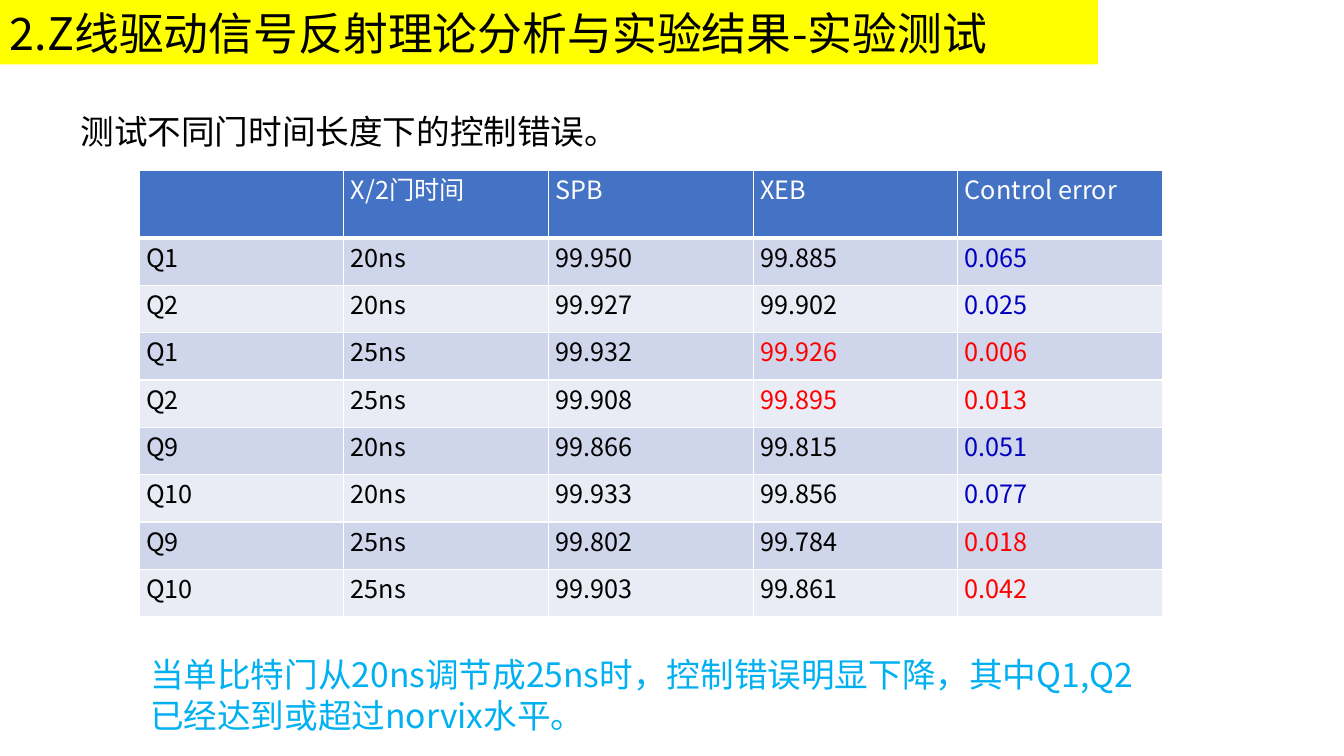
from dataclasses import dataclass

from lxml.etree import SubElement
from pptx import Presentation
from pptx.dml.color import RGBColor
from pptx.enum.shapes import MSO_SHAPE
from pptx.enum.text import MSO_ANCHOR, PP_ALIGN
from pptx.oxml.ns import qn
from pptx.slide import Slide
from pptx.table import _Cell
from pptx.text.text import TextFrame
from pptx.util import Inches, Pt

FONT = "Noto Sans CJK SC"
BLACK = RGBColor(0x00, 0x00, 0x00)
WHITE = RGBColor(0xFF, 0xFF, 0xFF)
YELLOW = RGBColor(0xFF, 0xFF, 0x00)
RED = RGBColor(0xFF, 0x00, 0x00)
NAVY = RGBColor(0x00, 0x00, 0xBF)
SKY = RGBColor(0x00, 0xB0, 0xF0)
HEADER_BLUE = RGBColor(0x44, 0x72, 0xC4)
BANDS = (RGBColor(0xCF, 0xD5, 0xEA), RGBColor(0xE9, 0xEB, 0xF5))

HEADINGS = ("", "X/2门时间", "SPB", "XEB", "Control error")
COL_WIDTH, HEADER_HEIGHT, ROW_HEIGHT = 2.03, 0.67, 0.47


@dataclass(frozen=True)
class Measurement:
    qubit: str
    gate_time: str
    spb: str
    xeb: str
    error: str
    xeb_color: RGBColor = BLACK

    def cells(self) -> list[tuple[str, RGBColor]]:
        error_color = NAVY if self.gate_time == "20ns" else RED
        return [(self.qubit, BLACK), (self.gate_time, BLACK), (self.spb, BLACK),
                (self.xeb, self.xeb_color), (self.error, error_color)]


@dataclass(frozen=True)
class Caption:
    left: float
    top: float
    width: float
    height: float
    text: str
    color: RGBColor


MEASUREMENTS = (
    Measurement("Q1", "20ns", "99.950", "99.885", "0.065"),
    Measurement("Q2", "20ns", "99.927", "99.902", "0.025"),
    Measurement("Q1", "25ns", "99.932", "99.926", "0.006", RED),
    Measurement("Q2", "25ns", "99.908", "99.895", "0.013", RED),
    Measurement("Q9", "20ns", "99.866", "99.815", "0.051"),
    Measurement("Q10", "20ns", "99.933", "99.856", "0.077"),
    Measurement("Q9", "25ns", "99.802", "99.784", "0.018"),
    Measurement("Q10", "25ns", "99.903", "99.861", "0.042"),
)
CAPTIONS = (
    Caption(0.7, 1.05, 10.6, 0.5, "测试不同门时间长度下的控制错误。", BLACK),
    Caption(1.39, 6.44, 10.08, 0.91,
            "当单比特门从20ns调节成25ns时，控制错误明显下降，其中Q1,Q2已经达到或超过norvix水平。", SKY),
)


def write(tf: TextFrame, text: str, size: float, color: RGBColor) -> None:
    p = tf.paragraphs[0]
    p.alignment = PP_ALIGN.LEFT
    r = p.add_run()
    r.text = text
    r.font.size = Pt(size)
    r.font.color.rgb = color
    r.font.name = FONT
    SubElement(r.font._element, qn("a:ea"), typeface=FONT)


def add_title(s: Slide) -> None:
    sp = s.shapes.add_shape(MSO_SHAPE.RECTANGLE, 0, 0, Inches(10.89), Inches(0.64))
    sp.shadow.inherit = False
    sp.fill.solid()
    sp.fill.fore_color.rgb = YELLOW
    sp.line.fill.background()
    write(sp.text_frame, "2.Z线驱动信号反射理论分析与实验结果-实验测试", 32, BLACK)


def add_caption(s: Slide, c: Caption) -> None:
    sp = s.shapes.add_textbox(*map(Inches, (c.left, c.top, c.width, c.height)))
    tf = sp.text_frame
    tf.word_wrap = True
    tf.vertical_anchor = MSO_ANCHOR.TOP
    write(tf, c.text, 24, c.color)


def set_borders(cell: _Cell, top: float, bottom: float) -> None:
    """Put white borders around a cell; widths are in points."""
    tc_pr = cell._tc.get_or_add_tcPr()
    for i, (side, width) in enumerate((("L", 1), ("R", 1), ("T", top), ("B", bottom))):
        ln = SubElement(tc_pr, qn(f"a:ln{side}"), w=str(Pt(width)))
        fill = SubElement(ln, qn("a:solidFill"))
        SubElement(fill, qn("a:srgbClr"), val=str(WHITE))
        tc_pr.insert(i, ln)


def add_results(s: Slide) -> None:
    rows = [[(heading, WHITE) for heading in HEADINGS]]
    rows += [m.cells() for m in MEASUREMENTS]
    height = HEADER_HEIGHT + ROW_HEIGHT * len(MEASUREMENTS)
    table = s.shapes.add_table(len(rows), len(HEADINGS), Inches(1.38), Inches(1.69),
                               Inches(COL_WIDTH * len(HEADINGS)), Inches(height)).table
    for column in table.columns:
        column.width = Inches(COL_WIDTH)
    for i, row in enumerate(rows):
        table.rows[i].height = Inches(ROW_HEIGHT if i else HEADER_HEIGHT)
        for j, (text, color) in enumerate(row):
            cell = table.cell(i, j)
            cell.margin_left = cell.margin_right = Inches(0.07)
            cell.margin_top = cell.margin_bottom = 0
            cell.fill.solid()
            cell.fill.fore_color.rgb = BANDS[(i - 1) % 2] if i else HEADER_BLUE
            set_borders(cell, top=3 if i == 1 else 1, bottom=1 if i else 3)
            if text:
                write(cell.text_frame, text, 18, color)
                for r in cell.text_frame.paragraphs[0].runs:
                    r.font.bold = False


def main() -> None:
    prs = Presentation()
    prs.slide_width, prs.slide_height = Inches(13.33), Inches(7.5)
    s = prs.slides.add_slide(prs.slide_layouts[6])
    add_title(s)
    for caption in CAPTIONS:
        add_caption(s, caption)
    add_results(s)
    prs.save("out.pptx")


if __name__ == "__main__":
    main()
